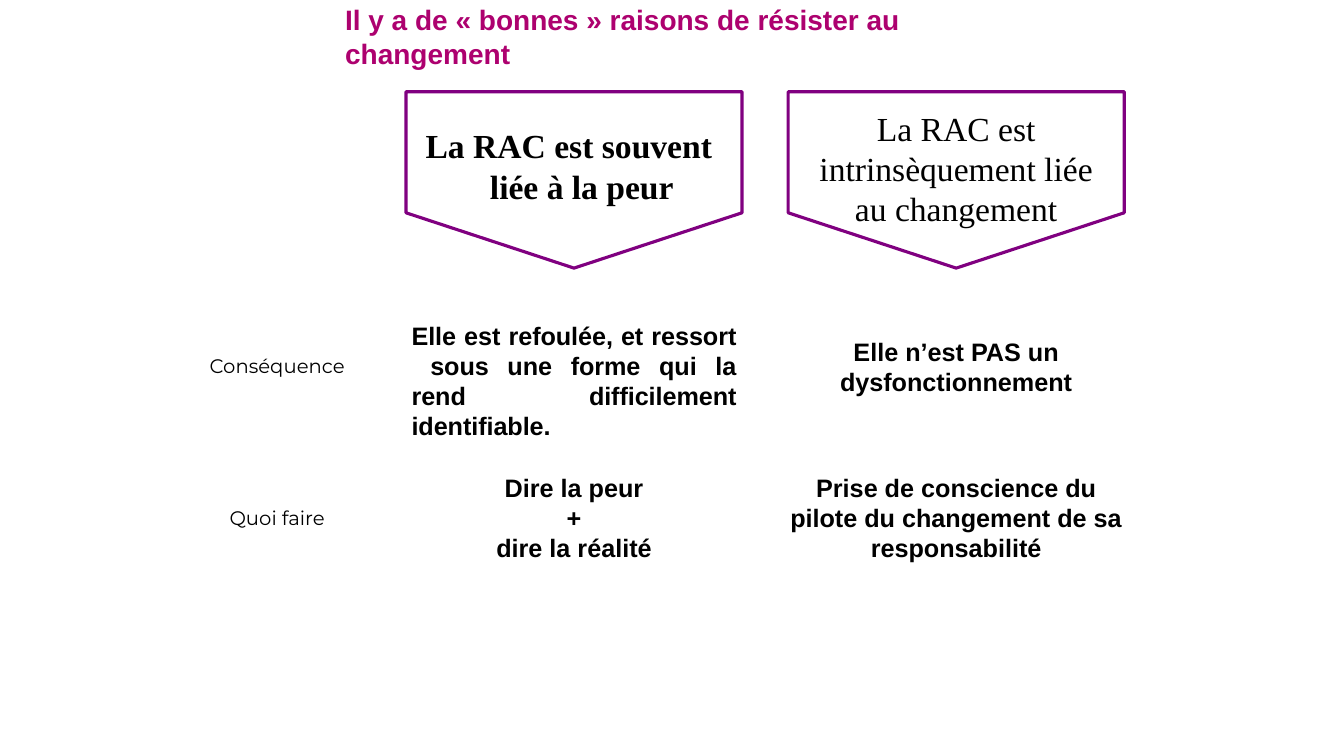
from pptx import Presentation
from pptx.dml.color import RGBColor
from pptx.enum.text import MSO_ANCHOR, PP_ALIGN
from pptx.util import Pt

BLACK, PURPLE, MAGENTA = "000000", "800080", "AD016F"
ROW_HEIGHT, ROW_PITCH, FIRST_ROW = 67, 108, 227.5
COLUMN_WIDTH = 240


def color(hex_code):
    return RGBColor.from_string(hex_code)


def add_text(page, box, text, size, font="Arial", bold=False, ink=BLACK,
             align=PP_ALIGN.CENTER, anchor=MSO_ANCHOR.MIDDLE):
    """Place text in a box (left, top, width, height) and return its first paragraph."""
    frame = page.shapes.add_textbox(*map(Pt, box)).text_frame
    frame.word_wrap = True
    frame.vertical_anchor = anchor
    frame.margin_left = frame.margin_right = frame.margin_bottom = 0
    frame.margin_top = Pt(1)
    frame.text = text
    for para in frame.paragraphs:
        para.alignment = align
        para.font.size = Pt(size)
        para.font.name = font
        para.font.bold = bold
        para.font.color.rgb = color(ink)
    return frame.paragraphs[0]


def add_arrow(page, left, top, width=COLUMN_WIDTH, height=126, shoulder=86.5):
    """Draw a box outline whose lower edge points down."""
    right, middle = left + width, left + width / 2
    corners = [(right, top), (right, top + shoulder), (middle, top + height),
               (left, top + shoulder)]
    builder = page.shapes.build_freeform(Pt(left), Pt(top))
    builder.add_line_segments([(Pt(x), Pt(y)) for x, y in corners], close=True)
    arrow = builder.convert_to_shape()
    arrow.shadow.inherit = False
    arrow.fill.background()
    arrow.line.color.rgb = color(PURPLE)
    arrow.line.width = Pt(2.25)


def row_top(row):
    return FIRST_ROW + row * ROW_PITCH


def add_label(page, row, text):
    add_text(page, (138, row_top(row), 120, ROW_HEIGHT), text, 14, "Montserrat")


def add_answer(page, left, row, text):
    add_text(page, (left, row_top(row), COLUMN_WIDTH, ROW_HEIGHT), text, 18, bold=True)


def add_fear_column(page, left, top):
    add_arrow(page, left, top)
    # Heading with a hanging indent
    heading = add_text(page, (left + 13, top + 23, 207, 60),
                       "La RAC est souvent\vliée à la peur", 24, "Times New Roman",
                       bold=True, align=PP_ALIGN.LEFT, anchor=MSO_ANCHOR.TOP)
    indents = heading._p.get_or_add_pPr()
    indents.set("marL", str(Pt(47)))
    indents.set("indent", str(Pt(-46)))
    # Consequence, justified
    consequence = add_text(
        page, (left + 4, row_top(0), 232, ROW_HEIGHT),
        "Elle est refoulée, et ressort  sous une forme qui la rend difficilement identifiable.",
        18, bold=True, align=PP_ALIGN.JUSTIFY, anchor=MSO_ANCHOR.TOP)
    consequence.runs[0].font._element.set("spc", "-5")
    add_answer(page, left, 1, "Dire la peur\n+\ndire la réalité")


def add_change_column(page, left, top):
    add_arrow(page, left, top)
    add_text(page, (left + 14, top + 9, 212, 90),
             "La RAC est\vintrinsèquement liée\vau changement", 24, "Times New Roman")
    add_answer(page, left, 0, "Elle n’est PAS un\ndysfonctionnement")
    add_answer(page, left, 1,
               "Prise de conscience du\vpilote du changement de sa\vresponsabilité")


def main():
    deck = Presentation()
    deck.slide_width, deck.slide_height = Pt(960), Pt(540)
    page = deck.slides.add_slide(deck.slide_layouts[6])
    # Title
    add_text(page, (246.5, 1, 520, 50),
             "Il y a de « bonnes » raisons de résister au\vchangement", 20,
             bold=True, ink=MAGENTA, align=PP_ALIGN.LEFT, anchor=MSO_ANCHOR.TOP)
    # Row labels
    for row, label in enumerate(["Conséquence", "Quoi faire"]):
        add_label(page, row, label)
    # Columns
    add_fear_column(page, 290, 65.5)
    add_change_column(page, 563, 65.5)
    deck.save("out.pptx")


if __name__ == "__main__":
    main()
